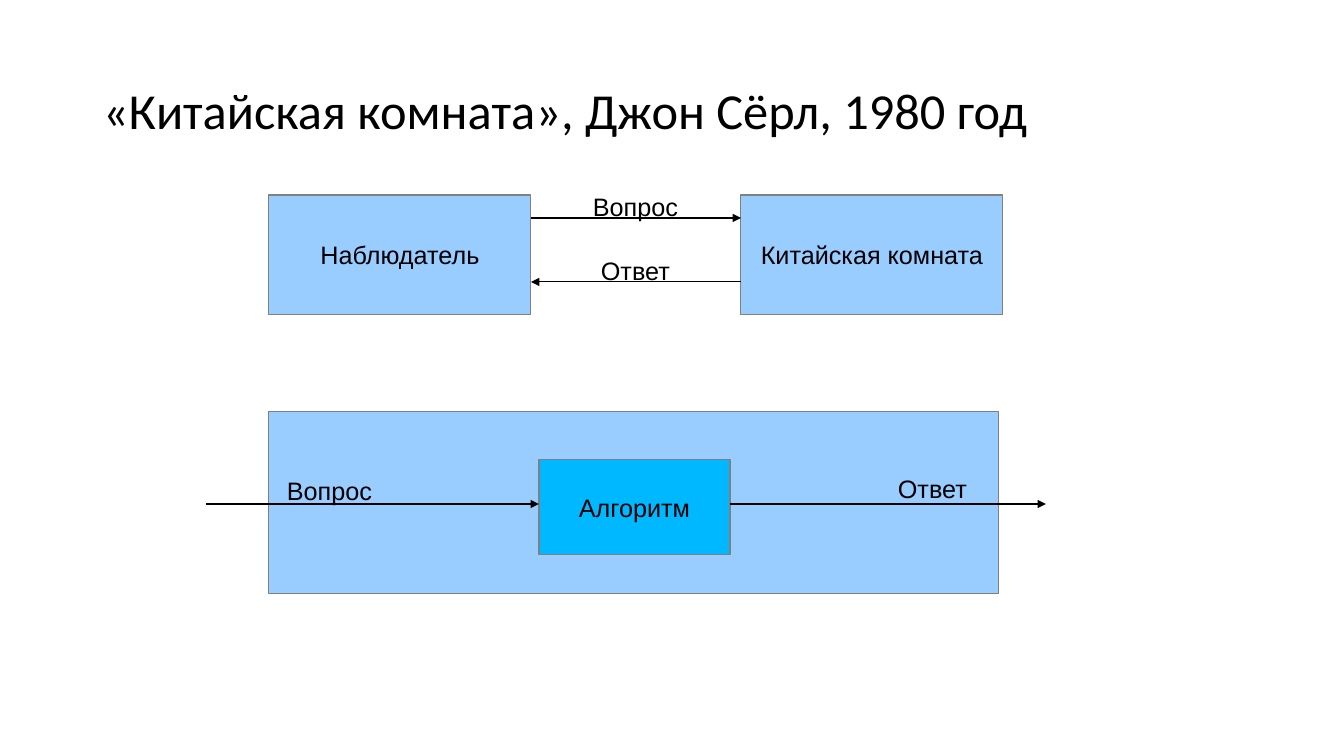
from pptx import Presentation
from pptx import util as u
from pptx.dml.color import RGBColor
from pptx.enum import shapes, text
from pptx.oxml.ns import qn
from lxml import etree

PX = u.Inches(1) / 100.8
BLACK = RGBColor(0x00, 0x00, 0x00)
GREY = RGBColor(0x80, 0x80, 0x80)
LIGHT_BLUE = RGBColor(0x99, 0xCC, 0xFF)
BRIGHT_BLUE = RGBColor(0x00, 0xB8, 0xFF)

BLOCK_W, BLOCK_H = 262, 119
OBSERVER_X, ROOM_X, BLOCKS_Y = 269, 741, 195
INSIDE_Y = 412
ALGORITHM_X, ALGORITHM_W = 539, 191
FLOW_Y = 504


def px(*lengths):
    return [u.Emu(round(length * PX)) for length in lengths]


def write(frame, words, size=18, font="Arial"):
    frame.word_wrap = True
    run = frame.paragraphs[0].add_run()
    run.text = words
    run.font.size = u.Pt(size)
    run.font.name = font
    run.font.color.rgb = BLACK
    return frame.paragraphs[0]


def add_title(slide, words):
    frame = slide.shapes.add_textbox(*px(93, 40, 1159, 146)).text_frame
    frame.vertical_anchor = text.MSO_ANCHOR.MIDDLE
    write(frame, words, 36, "Calibri").line_spacing = 0.9


def add_block(slide, x, y, w, h, fill, words=None):
    block = slide.shapes.add_shape(
        shapes.MSO_SHAPE.ROUNDED_RECTANGLE, *px(x, y, w, h))
    block.adjustments[0] = 0
    block.shadow.inherit = False
    block.fill.solid()
    block.fill.fore_color.rgb = fill
    block.line.color.rgb = GREY
    block.line.width = u.Pt(0.75)
    if words:
        block.text_frame.vertical_anchor = text.MSO_ANCHOR.MIDDLE
        caption = write(block.text_frame, words)
        caption.alignment = text.PP_ALIGN.CENTER


def add_arrow(slide, start_x, end_x, y):
    arrow = slide.shapes.add_connector(
        shapes.MSO_CONNECTOR.STRAIGHT, *px(start_x, y, end_x, y))
    arrow.line.color.rgb = BLACK
    arrow.line.width = u.Pt(0.75)
    etree.SubElement(arrow.line._get_or_add_ln(), qn("a:tailEnd"), type="triangle")
    etree.SubElement(arrow._element.spPr, qn("a:effectLst"))


def add_label(slide, x, y, w, words):
    label = slide.shapes.add_textbox(*px(x, y, w, 38))
    write(label.text_frame, words)


def add_dialogue(slide):
    observer_right = OBSERVER_X + BLOCK_W
    for x, words in ((OBSERVER_X, "Наблюдатель"), (ROOM_X, "Китайская комната")):
        add_block(slide, x, BLOCKS_Y, BLOCK_W, BLOCK_H, LIGHT_BLUE, words)
    add_arrow(slide, observer_right, ROOM_X, 218)
    add_arrow(slide, ROOM_X, observer_right, 282)
    add_label(slide, 583, 186, 127, "Вопрос")
    add_label(slide, 591, 250, 103, "Ответ")


def add_room_inside(slide):
    add_block(slide, OBSERVER_X, INSIDE_Y, 730, 182, LIGHT_BLUE)
    add_block(slide, ALGORITHM_X, 460, ALGORITHM_W, 95, BRIGHT_BLUE, "Алгоритм")
    add_arrow(slide, 206, ALGORITHM_X, FLOW_Y)
    add_arrow(slide, ALGORITHM_X + ALGORITHM_W, 1046, FLOW_Y)
    add_label(slide, 277, 470, 127, "Вопрос")
    add_label(slide, 888, 468, 103, "Ответ")


def main():
    deck = Presentation()
    deck.slide_width, deck.slide_height = px(1344, 756)
    slide = deck.slides.add_slide(deck.slide_layouts[6])
    add_title(slide, "«Китайская комната», Джон Сёрл, 1980 год")
    add_dialogue(slide)
    add_room_inside(slide)
    deck.save("out.pptx")


if __name__ == "__main__":
    main()
